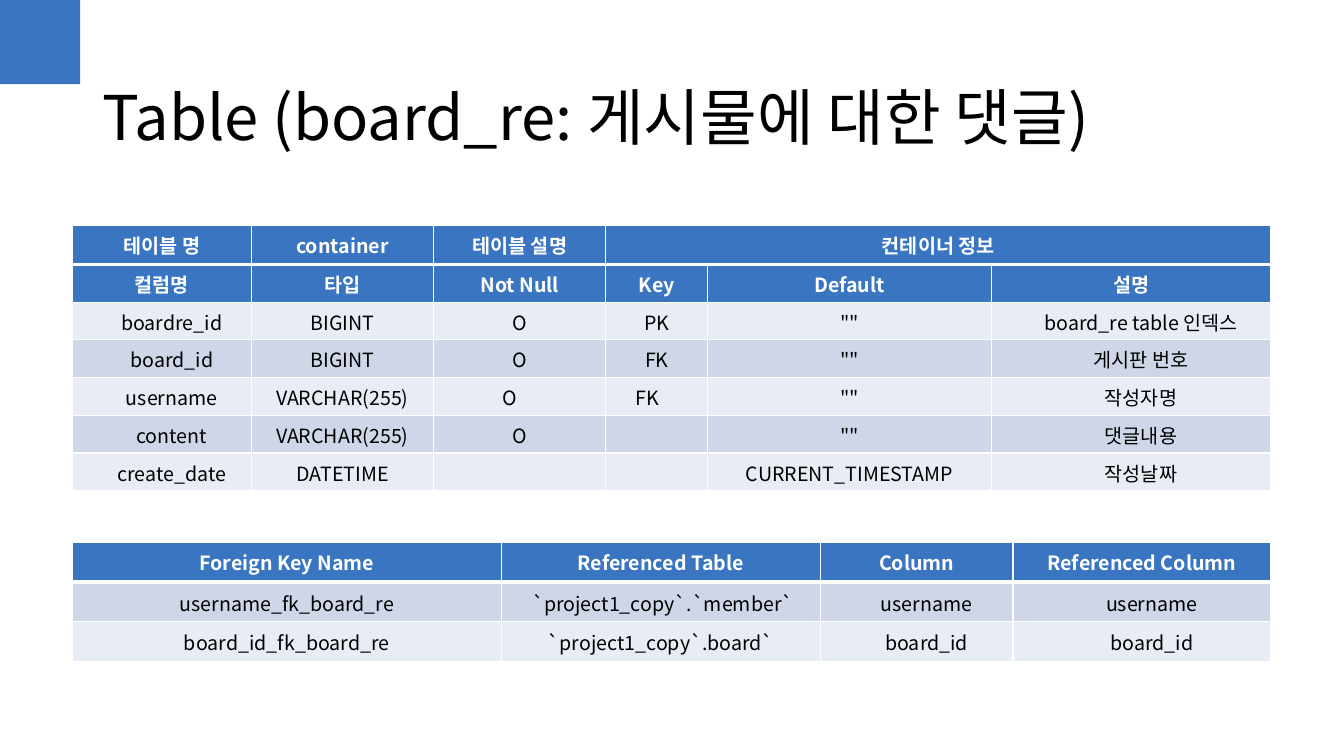
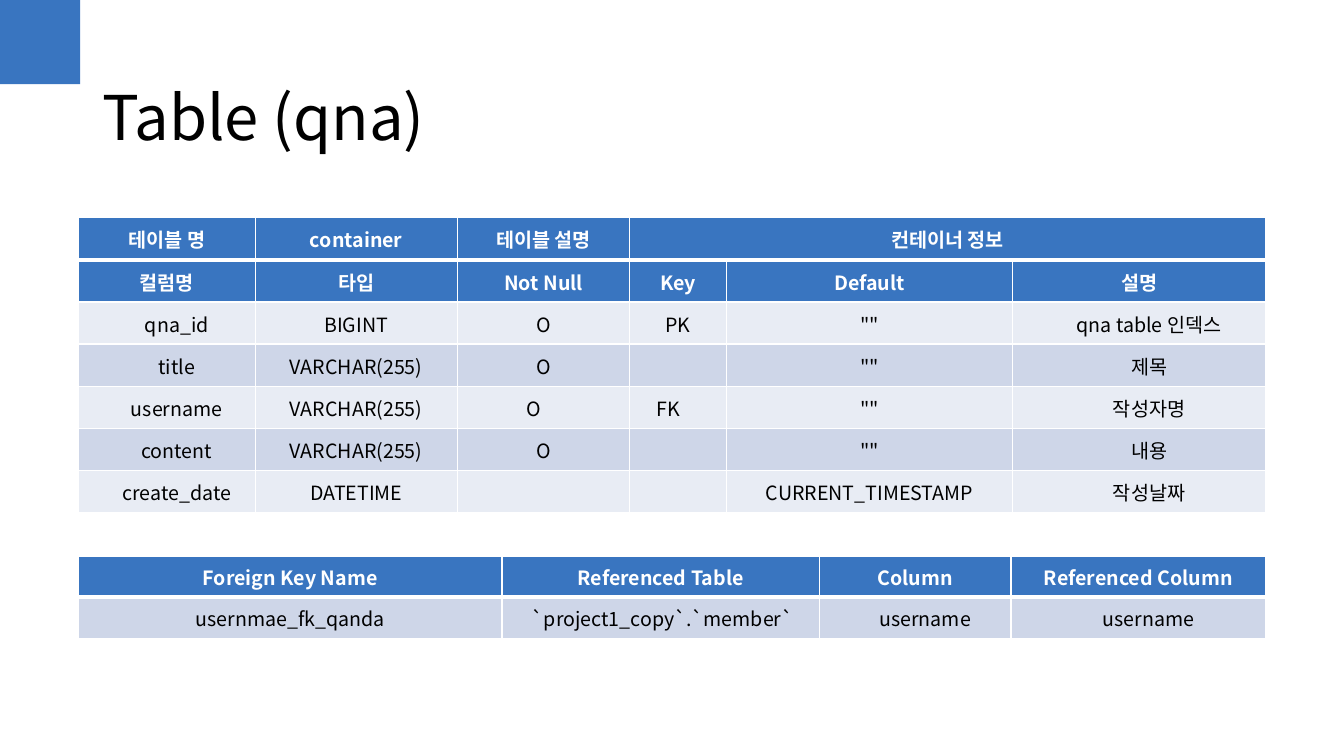
from dataclasses import dataclass

from lxml import etree
from pptx import Presentation
from pptx.dml.color import RGBColor
from pptx.enum.shapes import MSO_SHAPE
from pptx.enum.text import MSO_ANCHOR, MSO_AUTO_SIZE, PP_ALIGN
from pptx.oxml.ns import qn
from pptx.util import Cm, Pt

RECTANGLE = MSO_SHAPE.RECTANGLE
MIDDLE = MSO_ANCHOR.MIDDLE
NO_AUTOFIT = MSO_AUTO_SIZE.NONE
LEFT, CENTER = PP_ALIGN.LEFT, PP_ALIGN.CENTER


@dataclass(frozen=True)
class Theme:
    accent: RGBColor = RGBColor.from_string("3975C0")
    band_dark: RGBColor = RGBColor.from_string("CED6E8")
    band_light: RGBColor = RGBColor.from_string("E8ECF4")
    white: RGBColor = RGBColor.from_string("FFFFFF")
    black: RGBColor = RGBColor.from_string("000000")
    font: str = "Noto Sans CJK KR"
    title_size: Pt = Pt(44)
    cell_size: Pt = Pt(14)
    rule: Pt = Pt(1)
    header_rule: Pt = Pt(3)


theme = Theme()


def add_run(paragraph, text, size, color, bold=False):
    run = paragraph.add_run()
    run.text = text
    run.font.size = size
    run.font.bold = bold
    run.font.color.rgb = color
    run.font.name = theme.font
    east_asian = etree.SubElement(run.font._element, qn("a:ea"))
    east_asian.set("typeface", theme.font)


def add_grid(slide, left, top, widths, row_height, rows, header_rows, indented):
    grid = slide.shapes.add_table(
        len(rows), len(widths), Cm(left), Cm(top),
        Cm(sum(widths)), Cm(row_height * len(rows)),
    ).table
    for column, width in zip(grid.columns, widths):
        column.width = Cm(width)
    for r, row in enumerate(rows):
        grid.rows[r].height = Cm(row_height)
        is_header = r < header_rows
        band = theme.band_dark if r % 2 else theme.band_light
        for c in range(len(widths)):
            cell = grid.cell(r, c)
            properties = cell._tc.get_or_add_tcPr()
            rules = {
                "a:lnL": theme.rule,
                "a:lnR": theme.rule,
                "a:lnT": theme.header_rule if r == 1 else theme.rule,
                "a:lnB": theme.header_rule if r == 0 else theme.rule,
            }
            for side, thickness in rules.items():
                line = etree.SubElement(properties, qn(side), w=str(int(thickness)))
                paint = etree.SubElement(line, qn("a:solidFill"))
                etree.SubElement(paint, qn("a:srgbClr"), val=str(theme.white))
            cell.fill.solid()
            cell.fill.fore_color.rgb = theme.accent if is_header else band
            cell.vertical_anchor = MIDDLE
            if r > 0:
                cell.margin_left = cell.margin_right = cell.margin_top = Cm(0.03)
                cell.margin_bottom = 0
            text = row[c] if c < len(row) else ""
            if not text:
                continue
            paragraph = cell.text_frame.paragraphs[0]
            paragraph.alignment = CENTER
            if c in indented and not is_header:
                paragraph._p.get_or_add_pPr().set("marL", str(int(Cm(0.5))))
            add_run(paragraph, text, theme.cell_size,
                    theme.white if is_header else theme.black, is_header)
    return grid


COLUMN_HEADERS = [
    ["테이블 명", "container", "테이블 설명", "컨테이너 정보"],
    ["컬럼명", "타입", "Not Null", "Key", "Default", "설명"],
]
KEY_HEADERS = [["Foreign Key Name", "Referenced Table", "Column", "Referenced Column"]]
USERNAME = ["username", "VARCHAR(255)", "O　", "FK　", '""', "작성자명"]
CREATE_DATE = ["create_date", "DATETIME", "", "", "CURRENT_TIMESTAMP", "작성날짜"]
MEMBER_TABLE = " `project1_copy`.`member`"

schemas = [
    {
        "title": "Table (board_re: 게시물에 대한 댓글)",
        "left": 1.83,
        "columns_top": 5.69,
        "columns_widths": [4.5, 4.6, 4.34, 2.57, 7.14, 7.05],
        "columns_row": 0.95,
        "columns": [
            ["boardre_id", "BIGINT", "O", "PK", '""', "board_re table 인덱스"],
            ["board_id", "BIGINT", "O", "FK", '""', "게시판 번호"],
            USERNAME,
            ["content", "VARCHAR(255)", "O", "", '""', "댓글내용"],
            CREATE_DATE,
        ],
        "keys_top": 13.67,
        "keys_widths": [10.8, 8.05, 4.85, 6.5],
        "keys_row": 1,
        "keys": [
            ["username_fk_board_re", MEMBER_TABLE, "username", "username"],
            ["board_id_fk_board_re", "`project1_copy`.board`", "board_id", "board_id"],
        ],
    },
    {
        "title": "Table (qna)",
        "left": 1.98,
        "columns_top": 5.49,
        "columns_widths": [4.45, 5.1, 4.34, 2.44, 7.21, 6.38],
        "columns_row": 1.06,
        "columns": [
            ["qna_id", "BIGINT", "O", "PK", '""', "qna table 인덱스"],
            ["title", "VARCHAR(255)", "O", "", '""', "제목"],
            USERNAME,
            ["content", "VARCHAR(255)", "O", "", '""', "내용"],
            CREATE_DATE,
        ],
        "keys_top": 14.02,
        "keys_widths": [10.67, 8, 4.83, 6.42],
        "keys_row": 1.03,
        "keys": [["usernmae_fk_qanda", MEMBER_TABLE, "username", "username"]],
    },
]

deck = Presentation()
deck.slide_width = Cm(33.87)
deck.slide_height = Cm(19.05)
title_only = deck.slide_layouts[5]

for schema in schemas:
    slide = deck.slides.add_slide(title_only)

    corner = slide.shapes.add_shape(RECTANGLE, 0, 0, Cm(2.02), Cm(2.12))
    corner.shadow.inherit = False
    corner.fill.solid()
    corner.fill.fore_color.rgb = theme.accent
    corner.line.fill.background()

    title = slide.shapes.title
    title.left, title.top = Cm(2.33), Cm(0.9)
    title.width, title.height = Cm(29.21), Cm(3.68)
    title.text_frame.word_wrap = True
    title.text_frame.auto_size = NO_AUTOFIT
    title.text_frame.vertical_anchor = MIDDLE
    heading = title.text_frame.paragraphs[0]
    heading.alignment = LEFT
    heading.line_spacing = 1.18
    add_run(heading, schema["title"], theme.title_size, theme.black)

    columns_grid = add_grid(
        slide, schema["left"], schema["columns_top"], schema["columns_widths"],
        schema["columns_row"], COLUMN_HEADERS + schema["columns"], 2, (0, 5),
    )
    columns_grid.cell(0, 3).merge(columns_grid.cell(0, 5))
    add_grid(
        slide, schema["left"], schema["keys_top"], schema["keys_widths"],
        schema["keys_row"], KEY_HEADERS + schema["keys"], 1, (2, 3),
    )

deck.save("out.pptx")
